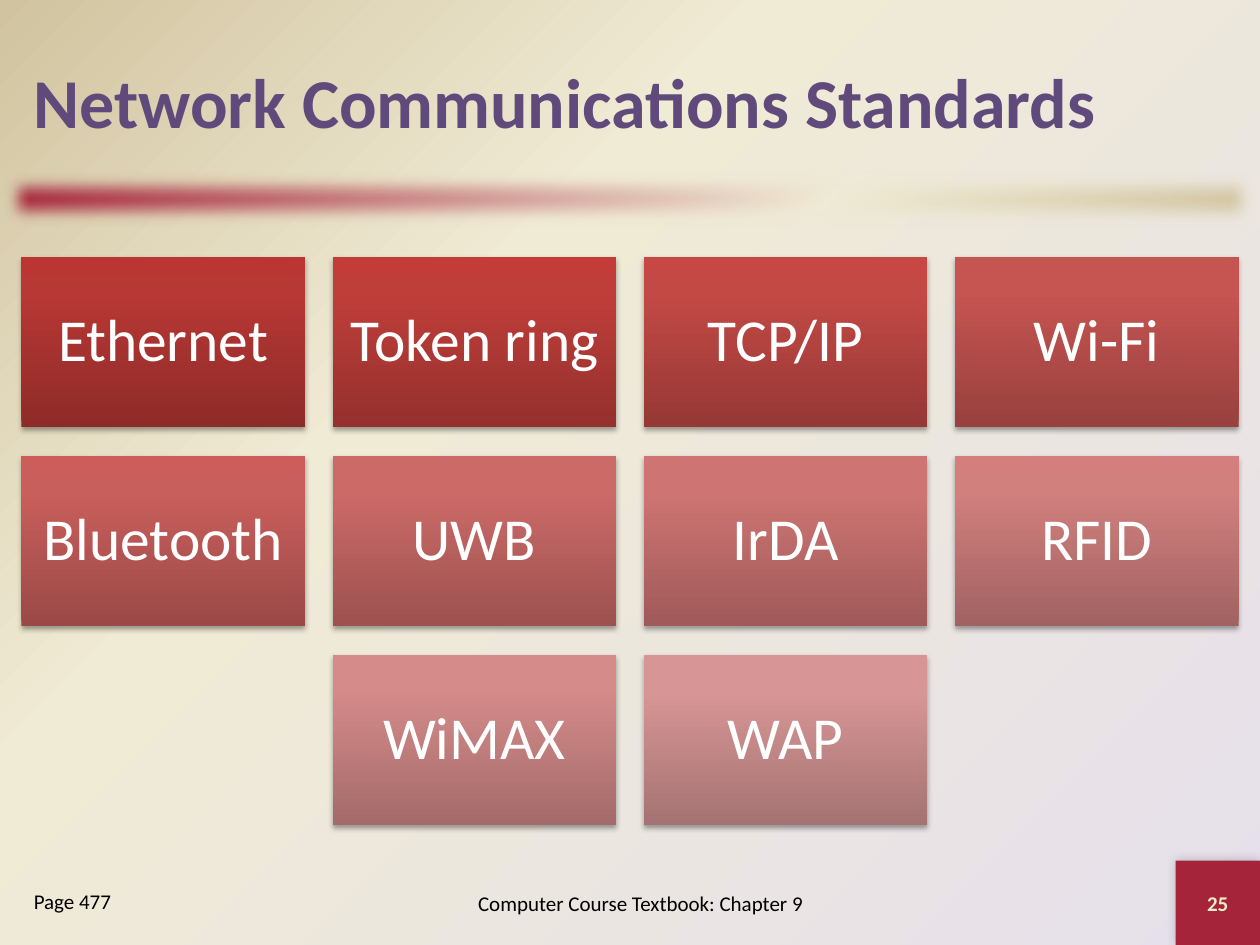
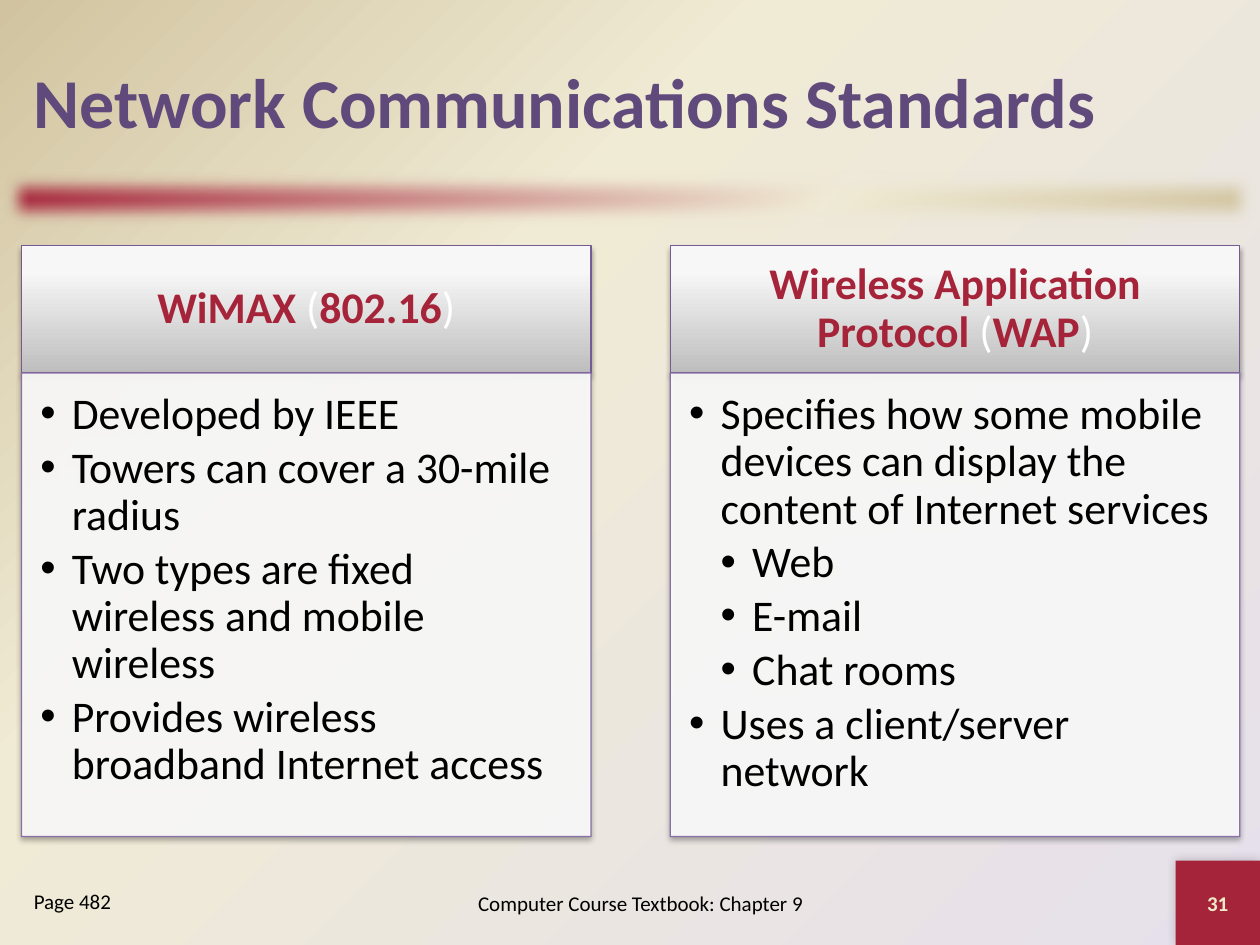
from dataclasses import dataclass
from typing import NamedTuple

from lxml import etree
from pptx import Presentation
from pptx import util as u
from pptx.dml.color import RGBColor
from pptx.enum import shapes, text
from pptx.oxml.ns import qn

FONT = "Calibri"
CRIMSON = RGBColor(0xA5, 0x24, 0x39)
CREAM = RGBColor(0xF0, 0xEB, 0xD5)
SAND = RGBColor(0xD1, 0xC3, 0x9F)
LILAC = RGBColor(0xE6, 0xE0, 0xEC)
PURPLE = RGBColor(0x60, 0x4A, 0x7B)
HEADER_LINE = RGBColor(0x74, 0x5B, 0x93)
BODY_LINE = RGBColor(0x80, 0x64, 0xA2)
PALE_YELLOW = RGBColor(0xEE, 0xEB, 0xCA)
BLACK = RGBColor(0, 0, 0)
WHITE = RGBColor(0xFF, 0xFF, 0xFF)

FIRST_CARD = (RGBColor(0x8E, 0x2B, 0x28), RGBColor(0xB8, 0x38, 0x35), RGBColor(0xBB, 0x36, 0x32))
RAMP_START = (RGBColor(0x94, 0x30, 0x2D), RGBColor(0xC0, 0x3E, 0x3A), RGBColor(0xC4, 0x3C, 0x38))
RAMP_END = (RGBColor(0xA5, 0x73, 0x73), RGBColor(0xD7, 0x96, 0x95), RGBColor(0xD9, 0x95, 0x94))
SILVER = (RGBColor(0xBE, 0xBE, 0xBE), RGBColor(0xF7, 0xF7, 0xF7), RGBColor(0xF8, 0xF8, 0xF8))

TITLE = "Network Communications Standards"
FOOTER = "Computer Course Textbook: Chapter 9"
STANDARDS = ["Ethernet", "Token ring", "TCP/IP", "Wi-Fi", "Bluetooth",
             "UWB", "IrDA", "RFID", "WiMAX", "WAP"]


class Box(NamedTuple):
    left: float
    top: float
    width: float
    height: float


class Run(NamedTuple):
    text: str
    size: float
    color: RGBColor
    bold: bool = False


class Shadow(NamedTuple):
    alpha: int
    blur: float
    distance: float
    angle: int


class Bullet(NamedTuple):
    text: str
    level: int = 1


@dataclass
class Column:
    left: float
    heading: list[Run]
    bullets: list[Bullet]


SOFT_SHADOW = Shadow(35, 3.1, 1.8, 90)
CORNER_SHADOW = Shadow(20, 6, 0, 225)


def add_child(parent, tag: str, **attrs):
    return etree.SubElement(parent, qn(tag), {k: str(v) for k, v in attrs.items()})


def set_gradient(fill, owner, positions, colors, angle=None) -> None:
    fill.solid()
    solid = owner.find(qn("a:solidFill"))
    grad = etree.Element(qn("a:gradFill"), rotWithShape="1")
    stops = add_child(grad, "a:gsLst")
    for pos, color in zip(positions, colors):
        stop = add_child(stops, "a:gs", pos=pos * 1000)
        add_child(stop, "a:srgbClr", val=color)
    if angle is None:
        path = add_child(grad, "a:path", path="circle")
        add_child(path, "a:fillToRect", l=100000, t=100000)
    else:
        add_child(grad, "a:lin", ang=angle * 60000, scaled=0)
    owner.replace(solid, grad)


def set_opacity(sp, percent: int) -> None:
    for color in sp._element.spPr.iter(qn("a:srgbClr")):
        add_child(color, "a:alpha", val=percent * 1000)


def add_effect(sp, tag: str, **attrs):
    effects = sp._element.spPr.find(qn("a:effectLst"))
    return add_child(effects, tag, **attrs)


def add_shadow(sp, shadow: Shadow) -> None:
    outer = add_effect(sp, "a:outerShdw", blurRad=u.Pt(shadow.blur), dist=u.Pt(shadow.distance),
                       dir=shadow.angle * 60000, rotWithShape=0)
    color = add_child(outer, "a:srgbClr", val=BLACK)
    add_child(color, "a:alpha", val=shadow.alpha * 1000)


def add_rect(s, box: Box, line: RGBColor | None = None):
    sp = s.shapes.add_shape(shapes.MSO_SHAPE.RECTANGLE, *map(u.Inches, box))
    sp.shadow.inherit = False
    if line is None:
        sp.line.fill.background()
    else:
        sp.line.color.rgb = line
        sp.line.width = u.Pt(0.75)
    return sp


def setup_frame(tf, insets, anchor) -> None:
    tf.word_wrap = True
    tf.vertical_anchor = anchor
    tf.margin_left, tf.margin_top, tf.margin_right, tf.margin_bottom = map(u.Inches, insets)


def add_runs(p, runs: list[Run], align) -> None:
    p.alignment = align
    for run in runs:
        r = p.add_run()
        r.text = run.text
        r.font.name = FONT
        r.font.size = u.Pt(run.size)
        r.font.bold = run.bold
        r.font.color.rgb = run.color


def add_label(s, box: Box, run: Run, align=text.PP_ALIGN.CENTER,
              anchor=text.MSO_ANCHOR.MIDDLE) -> None:
    tf = s.shapes.add_textbox(*map(u.Inches, box)).text_frame
    setup_frame(tf, (0.1, 0.05, 0.1, 0.05), anchor)
    add_runs(tf.paragraphs[0], [run], align)


def fill_centered(sp, runs: list[Run], insets) -> None:
    setup_frame(sp.text_frame, insets, text.MSO_ANCHOR.MIDDLE)
    p = sp.text_frame.paragraphs[0]
    p.line_spacing = 0.9
    add_runs(p, runs, text.PP_ALIGN.CENTER)


def add_base_slide(prs, page: str, number: str):
    s = prs.slides.add_slide(prs.slide_layouts[6])
    fill = s.background.fill
    fill.solid()
    bg = s._element.find(".//" + qn("p:bgPr"))
    set_gradient(fill, bg, (0, 65, 100), (LILAC, CREAM, SAND))

    band = add_rect(s, Box(0, 1.33, 10, 0.5))
    set_gradient(band.fill, band._element.spPr, (0, 65, 100), (CRIMSON, CREAM, SAND), 45)
    add_effect(band, "a:softEdge", rad=u.Inches(0.14))

    corner_box = Box(9.33, 6.83, 0.67, 0.67)
    corner = add_rect(s, corner_box)
    corner.fill.solid()
    corner.fill.fore_color.rgb = CRIMSON
    add_shadow(corner, CORNER_SHADOW)

    left = text.PP_ALIGN.LEFT
    add_label(s, Box(0.17, 0.17, 9.67, 1.25), Run(TITLE, 40, PURPLE, True), left)
    add_label(s, Box(3, 6.92, 4.17, 0.5), Run(FOOTER, 12, BLACK))
    add_label(s, corner_box, Run(number, 12, PALE_YELLOW, True))
    add_label(s, Box(0.17, 7, 1.83, 0.5), Run(page, 12, BLACK), left, text.MSO_ANCHOR.TOP)
    return s


def blend(start: RGBColor, end: RGBColor, share: float) -> RGBColor:
    return RGBColor(*(round(a + (b - a) * share) for a, b in zip(start, end)))


def card_colors(i: int) -> tuple:
    if i == 0:
        return FIRST_CARD
    share = (i - 1) / (len(STANDARDS) - 2)
    return tuple(blend(a, b, share) for a, b in zip(RAMP_START, RAMP_END))


def add_cards(s) -> None:
    columns = 4
    for i, name in enumerate(STANDARDS):
        row, col = divmod(i, columns)
        in_row = min(columns, len(STANDARDS) - row * columns)
        col += (columns - in_row) / 2
        sp = add_rect(s, Box(0.17 + 2.47 * col, 2.04 + 1.58 * row, 2.25, 1.35))
        set_gradient(sp.fill, sp._element.spPr, (0, 80, 100), card_colors(i), 270)
        add_shadow(sp, SOFT_SHADOW)
        fill_centered(sp, [Run(name, 34, WHITE)], (0.14,) * 4)


def add_bullet(p, bullet: Bullet) -> None:
    pPr = p._p.get_or_add_pPr()
    pPr.set("marL", str(u.Inches(0.25 * bullet.level)))
    pPr.set("indent", str(u.Inches(-0.25)))
    add_child(pPr, "a:buFont", typeface="Arial")
    add_child(pPr, "a:buChar", char="•")
    p.level = bullet.level
    p.line_spacing = 0.9
    p.space_after = u.Pt(3.75)
    add_runs(p, [Run(bullet.text, 25, BLACK)], text.PP_ALIGN.LEFT)


def add_column(s, column: Column) -> None:
    header = add_rect(s, Box(column.left, 1.95, 4.52, 1.01), HEADER_LINE)
    set_gradient(header.fill, header._element.spPr, (0, 80, 100), SILVER, 270)
    add_shadow(header, SOFT_SHADOW)
    fill_centered(header, column.heading, (0.19, 0.11, 0.19, 0.11))

    body = add_rect(s, Box(column.left, 2.96, 4.52, 3.68), BODY_LINE)
    body.fill.solid()
    body.fill.fore_color.rgb = WHITE
    set_opacity(body, 90)
    add_shadow(body, SOFT_SHADOW)
    tf = body.text_frame
    setup_frame(tf, (0.15, 0.15, 0.19, 0.22), text.MSO_ANCHOR.TOP)
    for i, bullet in enumerate(column.bullets):
        add_bullet(tf.add_paragraph() if i else tf.paragraphs[0], bullet)


def strong(words: str) -> Run:
    return Run(words, 25, CRIMSON, True)


def light(words: str) -> Run:
    return Run(words, 25, WHITE)


COLUMNS = [
    Column(0.17, [strong("WiMAX"), light(" ("), strong("802.16"), light(")")], [
        Bullet("Developed by IEEE"),
        Bullet("Towers can cover a 30-mile radius"),
        Bullet("Two types are fixed wireless and mobile wireless"),
        Bullet("Provides wireless broadband Internet access"),
    ]),
    Column(5.32, [strong("Wireless Application Protocol "), light("("), strong("WAP"), light(")")], [
        Bullet("Specifies how some mobile devices can display the content of Internet services"),
        Bullet("Web", 2),
        Bullet("E-mail", 2),
        Bullet("Chat rooms", 2),
        Bullet("Uses a client/server network"),
    ]),
]


def main() -> None:
    prs = Presentation()
    prs.slide_width, prs.slide_height = u.Inches(10), u.Inches(7.5)
    add_cards(add_base_slide(prs, "Page 477", "25"))
    s = add_base_slide(prs, "Page 482", "31")
    for column in COLUMNS:
        add_column(s, column)
    prs.save("out.pptx")


if __name__ == "__main__":
    main()
